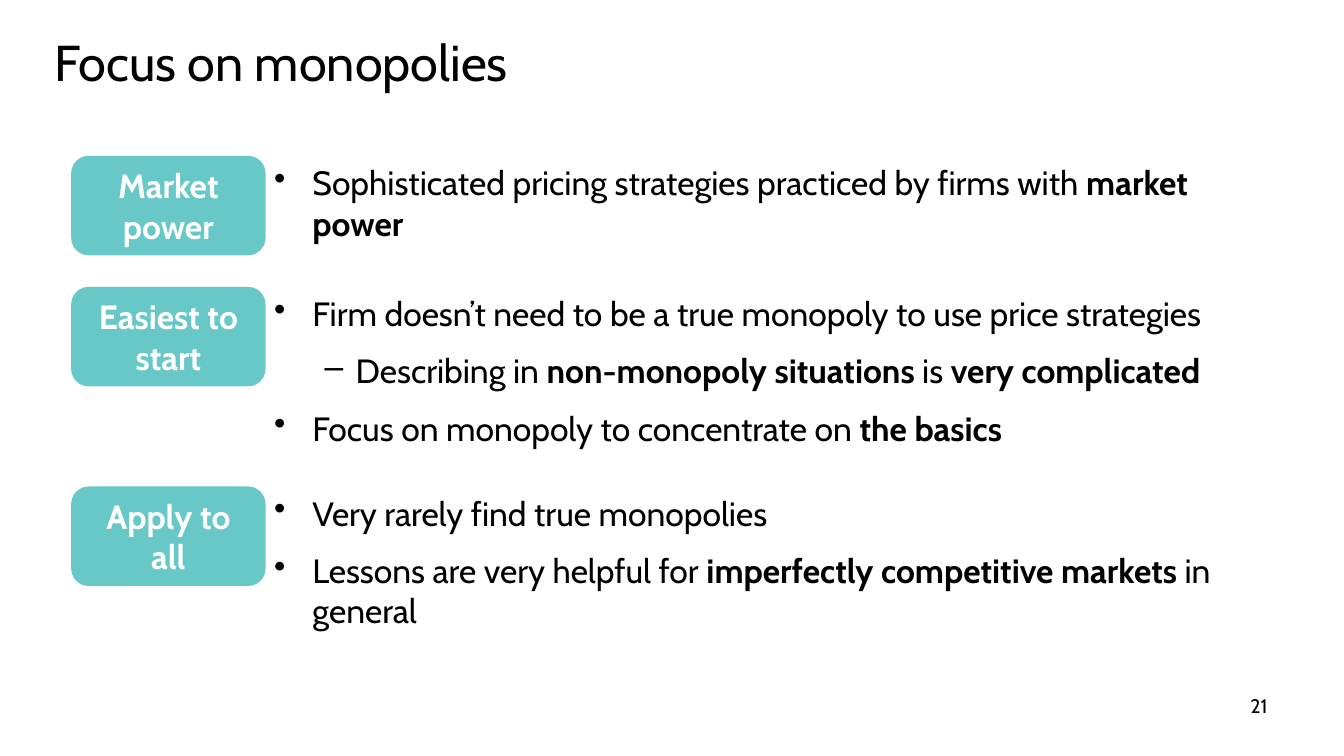
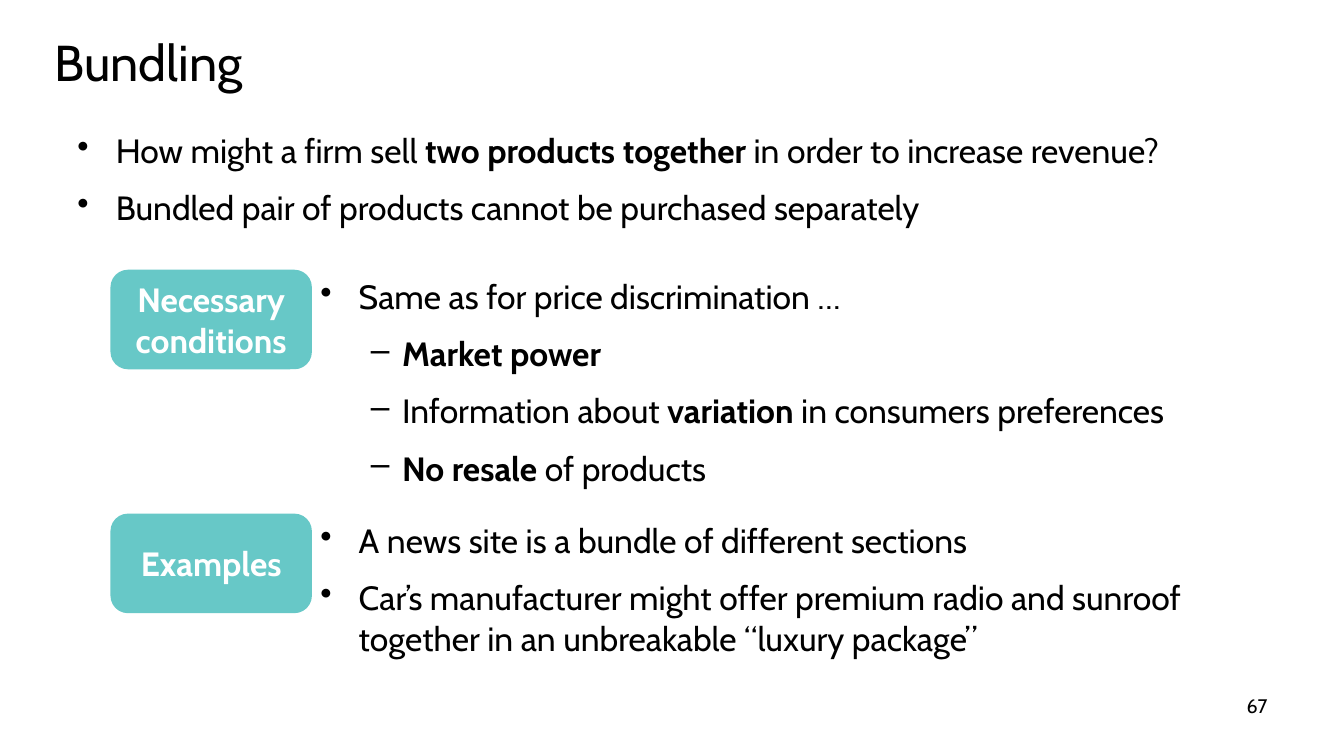
from lxml.etree import SubElement
from pptx import Presentation
from pptx.dml.color import RGBColor
from pptx.enum.shapes import MSO_SHAPE
from pptx.enum.text import MSO_ANCHOR, PP_ALIGN
from pptx.oxml.ns import qn
from pptx.util import Inches, Pt

COLORS = {"text": "000000", "label": "67C8C7", "label_text": "FFFFFF"}
BULLETS = [("•", 0.38, -0.38), ("–", 0.81, -0.31)]


class Lecture:
    font = "Cabin"
    title_size = 36
    body_size = 24
    number_size = 14

    def __init__(self):
        self.deck = Presentation()
        self.deck.slide_width = Inches(13.33)
        self.deck.slide_height = Inches(7.5)
        self.page = None

    def color(self, name):
        return RGBColor.from_string(COLORS[name])

    def style(self, span, size, color="text", bold=False):
        span.font.name = self.font
        span.font.size = Pt(size)
        span.font.bold = bold
        span.font.color.rgb = self.color(color)

    def text_box(self, left, top, width, height):
        box = self.page.shapes.add_textbox(Inches(left), Inches(top), Inches(width), Inches(height))
        box.text_frame.word_wrap = True
        return box.text_frame

    def line(self, frame, text, size, align=PP_ALIGN.LEFT, color="text", bold=False):
        frame.text = text
        para = frame.paragraphs[0]
        para.alignment = align
        self.style(para.runs[0], size, color, bold)

    def add_page(self, title, number):
        self.page = self.deck.slides.add_slide(self.deck.slide_layouts[6])
        heading = self.text_box(0.44, 0.25, 12, 0.71)
        heading.vertical_anchor = MSO_ANCHOR.MIDDLE
        self.line(heading, title, self.title_size)
        footer = self.text_box(9.56, 6.83, 3.11, 0.52)
        self.line(footer, str(number), self.number_size, PP_ALIGN.RIGHT)

    def bullets(self, left, top, width, height, items):
        frame = self.text_box(left, top, width, height)
        for index, (level, text) in enumerate(items):
            para = frame.add_paragraph() if index else frame.paragraphs[0]
            symbol, margin, indent = BULLETS[level]
            para.level = level
            properties = para._p.get_or_add_pPr()
            properties.set("marL", str(Inches(margin)))
            properties.set("indent", str(Inches(indent)))
            SubElement(properties, qn("a:buChar")).set("char", symbol)
            para.space_after = Pt(12)
            for part, words in enumerate(text.split("**")):
                if words:
                    span = para.add_run()
                    span.text = words
                    self.style(span, self.body_size, bold=part % 2 == 1)

    def label(self, left, top, width, height, text):
        box = self.page.shapes.add_shape(
            MSO_SHAPE.ROUNDED_RECTANGLE, Inches(left), Inches(top), Inches(width), Inches(height)
        )
        box.shadow.inherit = False
        box.fill.solid()
        box.fill.fore_color.rgb = self.color("label")
        box.line.color.rgb = self.color("label")
        box.line.width = Pt(2)
        box.text_frame.word_wrap = True
        box.text_frame.vertical_anchor = MSO_ANCHOR.MIDDLE
        self.line(box.text_frame, text, self.body_size, PP_ALIGN.CENTER, "label_text", True)

    def topic(self, left, top, label_width, text_width, text_height, label, items):
        self.label(left, top, label_width, 0.96, label)
        self.bullets(left + label_width, top, text_width, text_height, items)


def monopolies(lecture):
    lecture.add_page("Focus on monopolies", 21)
    topics = [
        (1.56, 0.91, "Market power", [
            (0, "Sophisticated pricing strategies practiced by firms with **market power**"),
        ]),
        (2.86, 1.65, "Easiest to start", [
            (0, "Firm doesn’t need to be a true monopoly to use price strategies"),
            (1, "Describing in **non-monopoly situations **is **very complicated**"),
            (0, "Focus on monopoly to concentrate on **the basics**"),
        ]),
        (4.84, 1.48, "Apply to all", [
            (0, "Very rarely find true monopolies"),
            (0, "Lessons are very helpful for **imperfectly competitive markets **in general"),
        ]),
    ]
    for top, height, label, items in topics:
        lecture.topic(0.72, top, 1.9, 9.89, height, label, items)


def bundling(lecture):
    lecture.add_page("Bundling", 67)
    lecture.bullets(0.67, 1.24, 11.77, 1.08, [
        (0, "How might a firm sell **two products together **in order to increase revenue?"),
        (0, "Bundled pair of products cannot be purchased separately"),
    ])
    topics = [
        (2.69, 2.22, "Necessary conditions", [
            (0, "Same as for price discrimination …"),
            (1, "**Market power**"),
            (1, "Information about **variation **in consumers preferences"),
            (1, "**No resale **of products"),
        ]),
        (5.11, 1.48, "Examples", [
            (0, "A news site is a bundle of different sections"),
            (0, "Car’s manufacturer might offer premium radio and sunroof together "
                "in an unbreakable “luxury package”"),
        ]),
    ]
    for top, height, label, items in topics:
        lecture.topic(1.11, top, 1.97, 9.24, height, label, items)


def main():
    lecture = Lecture()
    monopolies(lecture)
    bundling(lecture)
    lecture.deck.save("out.pptx")


if __name__ == "__main__":
    main()
